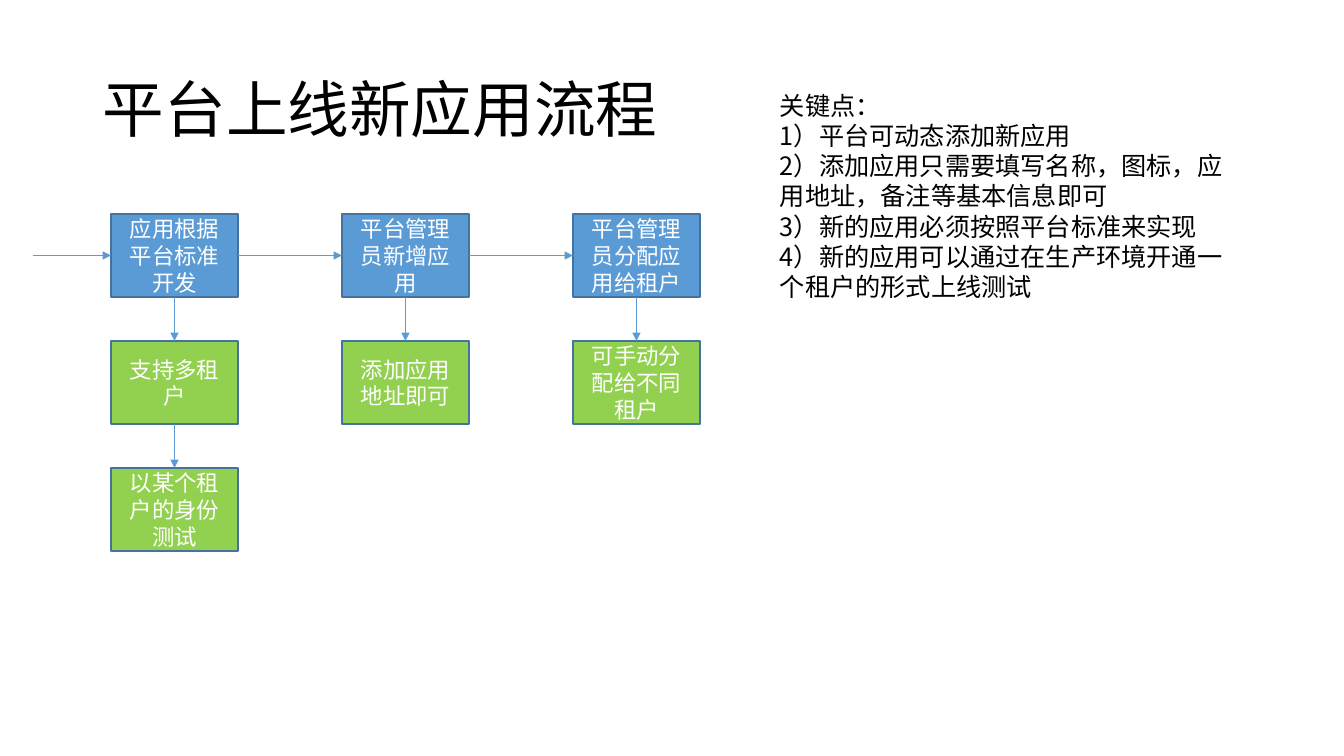
"""Build the slide showing how a new application goes live on the platform."""
from dataclasses import dataclass

from lxml.etree import SubElement
from pptx import Presentation
from pptx.dml.color import RGBColor
from pptx.enum.shapes import MSO_CONNECTOR, MSO_SHAPE
from pptx.enum.text import MSO_ANCHOR, PP_ALIGN
from pptx.oxml.ns import qn
from pptx.util import Pt

TITLE = "平台上线新应用流程"
COLUMNS = [
    ["应用根据平台标准开发", "支持多租户", "以某个租户的身份测试"],
    ["平台管理员新增应用", "添加应用地址即可"],
    ["平台管理员分配应用给租户", "可手动分配给不同租户"],
]
KEY_POINTS = [
    "关键点：",
    "1）平台可动态添加新应用",
    "2）添加应用只需要填写名称，图标，应用地址，备注等基本信息即可",
    "3）新的应用必须按照平台标准来实现",
    "4）新的应用可以通过在生产环境开通一个租户的形式上线测试",
]


@dataclass(frozen=True)
class Theme:
    font: str = "Noto Sans CJK SC"
    text: RGBColor = RGBColor(0x00, 0x00, 0x00)
    box_text: RGBColor = RGBColor(0xFF, 0xFF, 0xFF)
    step: RGBColor = RGBColor(0x5B, 0x9B, 0xD5)
    detail: RGBColor = RGBColor(0x92, 0xD0, 0x50)
    outline: RGBColor = RGBColor(0x43, 0x73, 0x9E)
    title_size: int = 44
    point_size: int = 18
    box_size: int = 16


THEME = Theme()
PAGE_WIDTH, PAGE_HEIGHT = 1344, 756
TITLE_AREA = (93, 40, 1159, 146)
POINTS_AREA = (770, 85, 481, 224)
GRID_LEFT, GRID_TOP = 111, 214
COLUMN_STEP, ROW_STEP = 231, 127
BOX_WIDTH, BOX_HEIGHT = 127, 83
ENTRY_LEFT = 33
TOP, LEFT, BOTTOM, RIGHT = range(4)


def px(*lengths):
    """Turn pixels into EMU."""
    return [round(length * 914400 / 100.8) for length in lengths]


def write(frame, lines, size, color, align=PP_ALIGN.LEFT, spacing=1.0):
    """Fill a text frame with one paragraph per line."""
    frame.word_wrap = True
    frame.text = "\n".join(lines)
    for paragraph in frame.paragraphs:
        paragraph.alignment = align
        paragraph.line_spacing = spacing
        paragraph.font.name = THEME.font
        paragraph.font.size = Pt(size)
        paragraph.font.color.rgb = color
        properties = paragraph._p.pPr.find(qn("a:defRPr"))
        SubElement(properties, qn("a:ea"), typeface=THEME.font)


def add_box(page, label, column, row):
    """Place one box on the flow grid."""
    area = px(GRID_LEFT + column * COLUMN_STEP, GRID_TOP + row * ROW_STEP,
              BOX_WIDTH, BOX_HEIGHT)
    box = page.shapes.add_shape(MSO_SHAPE.RECTANGLE, *area)
    box.shadow.inherit = False
    box.fill.solid()
    box.fill.fore_color.rgb = THEME.detail if row else THEME.step
    box.line.color.rgb = THEME.outline
    box.line.width = Pt(1)
    box.text_frame.vertical_anchor = MSO_ANCHOR.MIDDLE
    write(box.text_frame, [label], THEME.box_size, THEME.box_text, PP_ALIGN.CENTER)
    return box


def add_arrow(page, target, target_side, source=None, source_side=None):
    """Draw an arrow to a box, from another box or from the entry point."""
    start = px(ENTRY_LEFT, GRID_TOP + BOX_HEIGHT / 2)
    arrow = page.shapes.add_connector(MSO_CONNECTOR.STRAIGHT, *start, *start)
    if source is not None:
        arrow.begin_connect(source, source_side)
    arrow.end_connect(target, target_side)
    arrow.line.color.rgb = THEME.step
    arrow.line.width = Pt(0.5)
    properties = arrow._element.spPr
    SubElement(properties.find(qn("a:ln")), qn("a:tailEnd"), type="triangle")
    SubElement(properties, qn("a:effectLst"))


deck = Presentation()
deck.slide_width, deck.slide_height = px(PAGE_WIDTH, PAGE_HEIGHT)
page = deck.slides.add_slide(deck.slide_layouts[6])

title = page.shapes.add_textbox(*px(*TITLE_AREA)).text_frame
title.vertical_anchor = MSO_ANCHOR.MIDDLE
write(title, [TITLE], THEME.title_size, THEME.text, spacing=0.9)

grid = [[add_box(page, label, column, row) for row, label in enumerate(labels)]
        for column, labels in enumerate(COLUMNS)]

add_arrow(page, grid[0][0], LEFT)
for before, after in zip(grid, grid[1:]):
    add_arrow(page, after[0], LEFT, before[0], RIGHT)
for boxes in grid:
    for upper, lower in zip(boxes, boxes[1:]):
        add_arrow(page, lower, TOP, upper, BOTTOM)

points = page.shapes.add_textbox(*px(*POINTS_AREA)).text_frame
write(points, KEY_POINTS, THEME.point_size, THEME.text)

deck.save("out.pptx")
